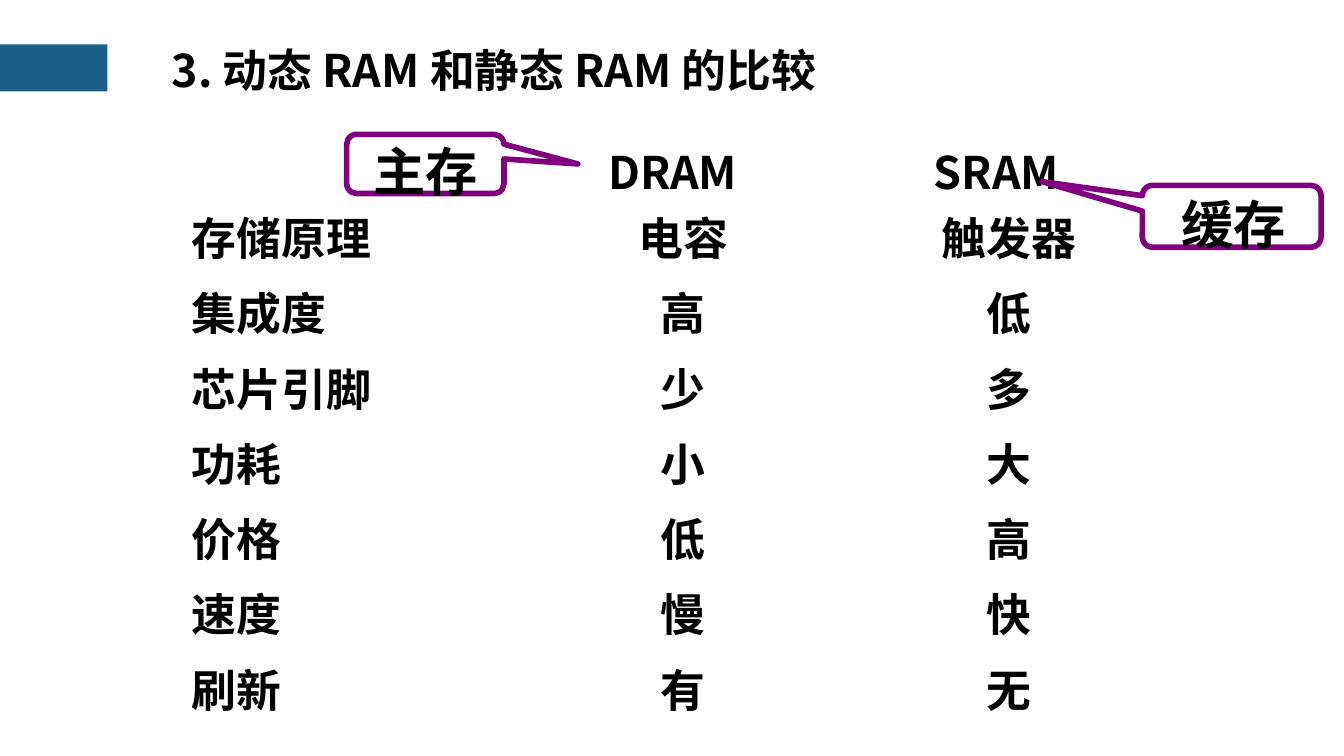
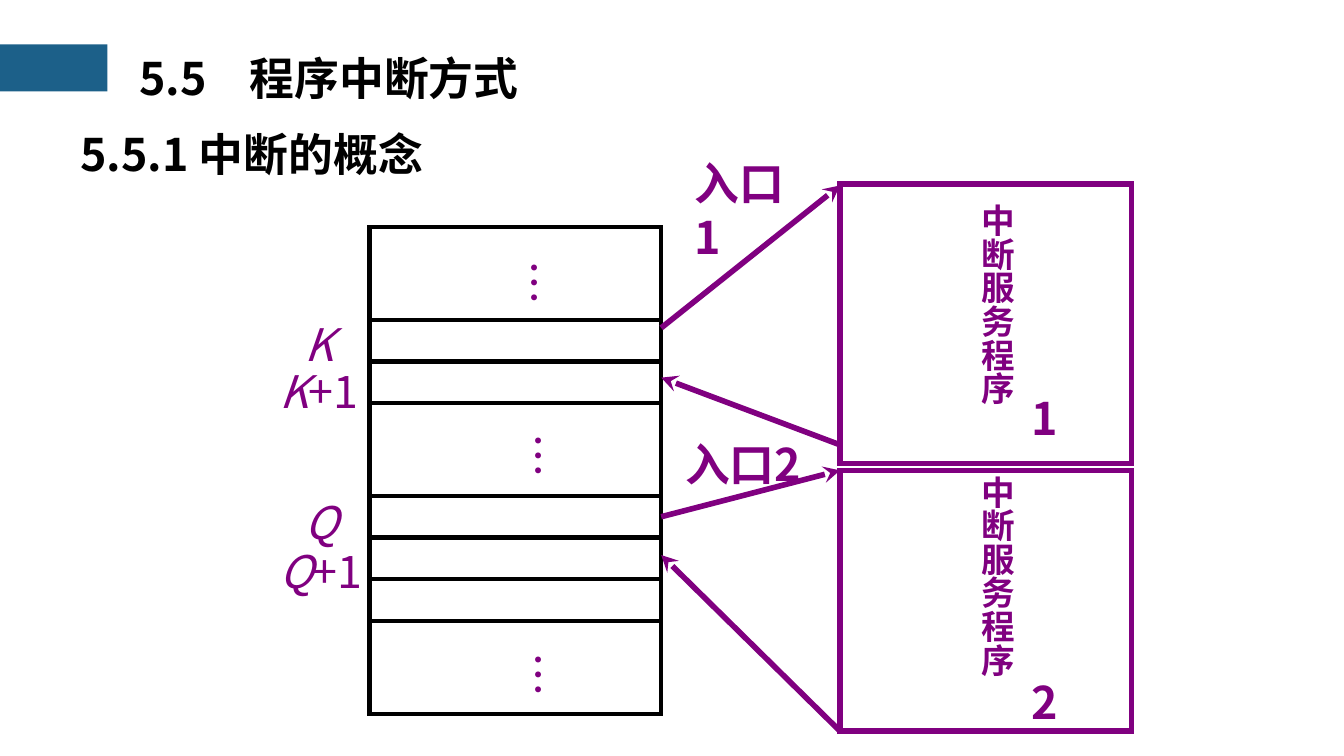
from lxml import etree
from pptx import Presentation
from pptx.dml.color import RGBColor
from pptx.enum import shapes, text
from pptx.oxml import ns
from pptx.util import Inches, Pt

FONT = "Noto Sans CJK SC"
BLACK, PURPLE, BLUE = "000000", "800080", "1C6089"

COMPARISON = [
    ("存储原理", "电容", "触发器"),
    ("集成度", "高", "低"),
    ("芯片引脚", "少", "多"),
    ("功耗", "小", "大"),
    ("价格", "低", "高"),
    ("速度", "慢", "快"),
    ("刷新", "有", "无"),
]
LABEL_LEFT, DRAM_LEFT, SRAM_LEFT = 1.33, 3.75, 6.17
COLUMN_WIDTH = 2.67

TALL, SHORT = 0.69, 0.31
MEMORY_CELLS = [TALL, SHORT, SHORT, TALL, SHORT, SHORT, SHORT, TALL]
MEMORY_LEFT, MEMORY_RIGHT, ROUTINE_LEFT = 2.75, 4.92, 6.25
BLOCK_WIDTH = 2.17


def colour(hex_code):
    return RGBColor.from_string(hex_code)


def inches(values):
    return [Inches(value) for value in values]


def add_span(para, words, size, hex_code, bold, italic):
    span = para.add_run()
    span.text = words
    font = span.font
    font.size, font.bold, font.italic = Pt(size), bold, italic
    font.color.rgb = colour(hex_code)
    font.name = FONT
    east_asian = etree.SubElement(span._r.get_or_add_rPr(), ns.qn("a:ea"))
    east_asian.set("typeface", FONT)


def add_text(page, at, words, size=24, hex_code=BLACK, bold=True, italic=False,
             suffix="", centred=False, wrap=True, vertical=False, tab_stop=None,
             anchor=text.MSO_ANCHOR.TOP):
    """Add a text box; suffix is an upright ending after italic words."""
    box = page.shapes.add_textbox(*inches(at))
    frame = box.text_frame
    frame.word_wrap = wrap
    frame.vertical_anchor = anchor
    frame.auto_size = text.MSO_AUTO_SIZE.SHAPE_TO_FIT_TEXT
    if vertical:
        frame._txBody.bodyPr.set("vert", "eaVert")
    para = frame.paragraphs[0]
    para.alignment = text.PP_ALIGN.CENTER if centred else text.PP_ALIGN.LEFT
    if tab_stop:
        tabs = etree.SubElement(para._p.get_or_add_pPr(), ns.qn("a:tabLst"))
        etree.SubElement(tabs, ns.qn("a:tab"), pos=str(Inches(tab_stop)), algn="l")
    add_span(para, words, size, hex_code, bold, italic)
    if suffix:
        add_span(para, suffix, size, hex_code, bold, False)


def add_block(page, at, kind=shapes.MSO_SHAPE.RECTANGLE, fill=None, line=None, width=3):
    block = page.shapes.add_shape(kind, *inches(at))
    block.shadow.inherit = False
    if fill:
        block.fill.solid()
        block.fill.fore_color.rgb = colour(fill)
    else:
        block.fill.background()
    if line:
        block.line.color.rgb = colour(line)
        block.line.width = Pt(width)
    else:
        block.line.fill.background()
    if kind == shapes.MSO_SHAPE.RECTANGLE:
        etree.SubElement(block.line._get_or_add_ln(), ns.qn("a:miter"), lim="800000")
    return block


def add_callout(page, at, tip, words, words_at):
    """Add an outlined callout; tip is its pointer's offset from the centre."""
    callout = add_block(page, at, shapes.MSO_SHAPE.ROUNDED_RECTANGULAR_CALLOUT, line=PURPLE)
    for index, value in enumerate(tip):
        callout.adjustments[index] = value
    add_text(page, words_at, words, size=28, centred=True)


def add_arrow(page, start, end, source=None):
    """Add an arrow, starting at the right side of source when one is given."""
    arrow = page.shapes.add_connector(shapes.MSO_CONNECTOR.STRAIGHT, *inches(start + end))
    if source:
        arrow.begin_connect(source, 3)
    arrow.line.color.rgb = colour(PURPLE)
    arrow.line.width = Pt(3)
    etree.SubElement(arrow.line._get_or_add_ln(), ns.qn("a:tailEnd"), type="stealth")
    etree.SubElement(arrow._element.spPr, ns.qn("a:effectLst"))


def add_page(deck):
    page = deck.slides.add_slide(deck.slide_layouts[6])
    add_block(page, (0, 0.33, 0.8, 0.35), fill=BLUE)
    return page


def add_memory(page):
    """Stack the memory cells and return them from top to bottom."""
    cells, top = [], 1.69
    for height in MEMORY_CELLS:
        cells.append(add_block(page, (MEMORY_LEFT, top, BLOCK_WIDTH, height),
                               line=BLACK, width=2.25))
        top += height
    return cells


def add_routine(page, number, top, height, name_top, number_top):
    add_block(page, (ROUTINE_LEFT, top, BLOCK_WIDTH, height), line=PURPLE)
    add_text(page, (7.11, name_top, 0.51, 2.04), "中断服务程序", size=18,
             hex_code=PURPLE, wrap=False, vertical=True)
    add_text(page, (7.58, number_top, 0.37, 0.51), number, hex_code=PURPLE, wrap=False)


def build_comparison(deck):
    page = add_page(deck)
    add_text(page, (1.18, 0.27, 7.42, 0.5), "3. 动态 RAM 和静态 RAM 的比较")
    for left, heading in ((3.67, "DRAM"), (6.08, "SRAM")):
        add_text(page, (left, 1.03, COLUMN_WIDTH, 0.51), heading, centred=True)
    for row, entries in enumerate(COMPARISON):
        top = 1.52 + 0.56 * row
        for left, entry in zip((LABEL_LEFT, DRAM_LEFT, SRAM_LEFT), entries):
            add_text(page, (left, top, COLUMN_WIDTH, 0.5), entry, centred=left != LABEL_LEFT)
    add_callout(page, (2.58, 1, 1.17, 0.44), (0.97, 0), "主存", (2.65, 0.99, 1.03, 0.57))
    add_callout(page, (8.5, 1.38, 1.33, 0.46), (-1.06, -0.56), "缓存", (8.66, 1.38, 1.04, 0.57))


def build_interrupt(deck):
    page = add_page(deck)
    cells = add_memory(page)
    add_text(page, (0.94, 0.29, 4.17, 0.57), "5.5\t程序中断方式", tab_stop=0.82,
             anchor=text.MSO_ANCHOR.MIDDLE)
    add_text(page, (0.5, 0.89, 4.03, 0.5), "5.5.1 中断的概念")

    for left, top in ((3.62, 1.84), (3.65, 3.13), (3.65, 4.76)):
        add_text(page, (left, top, 0.61, 0.44), "…", hex_code=PURPLE, bold=False,
                 wrap=False, vertical=True)
    for letter, top, next_top in (("K", 2.31, 2.66), ("Q", 3.63, 4)):
        for left, label_top, width, suffix in ((2.17, top, 0.45, ""),
                                               (1.98, next_top, 0.83, "+1")):
            add_text(page, (left, label_top, width, 0.5), letter, hex_code=PURPLE,
                     bold=False, italic=True, suffix=suffix, wrap=False)

    add_routine(page, "1", 1.37, 2.08, 1.42, 2.86)
    add_routine(page, "2", 3.5, 1.94, 3.44, 4.97)

    add_arrow(page, (MEMORY_RIGHT, 2.44), (ROUTINE_LEFT, 1.38))
    add_arrow(page, (ROUTINE_LEFT, 3.31), (MEMORY_RIGHT, 2.81))
    add_arrow(page, (MEMORY_RIGHT, 3.84), (ROUTINE_LEFT, 3.5), source=cells[4])
    add_arrow(page, (ROUTINE_LEFT, 5.44), (MEMORY_RIGHT, 4.13))
    add_text(page, (5.07, 1.11, 1.03, 0.51), "入口1", hex_code=PURPLE)
    add_text(page, (5, 3.2, 1.17, 0.51), "入口2", hex_code=PURPLE)


def main():
    deck = Presentation()
    deck.slide_width = Inches(10)
    deck.slide_height = deck.slide_width * 9 // 16
    build_comparison(deck)
    build_interrupt(deck)
    deck.save("out.pptx")


if __name__ == "__main__":
    main()
